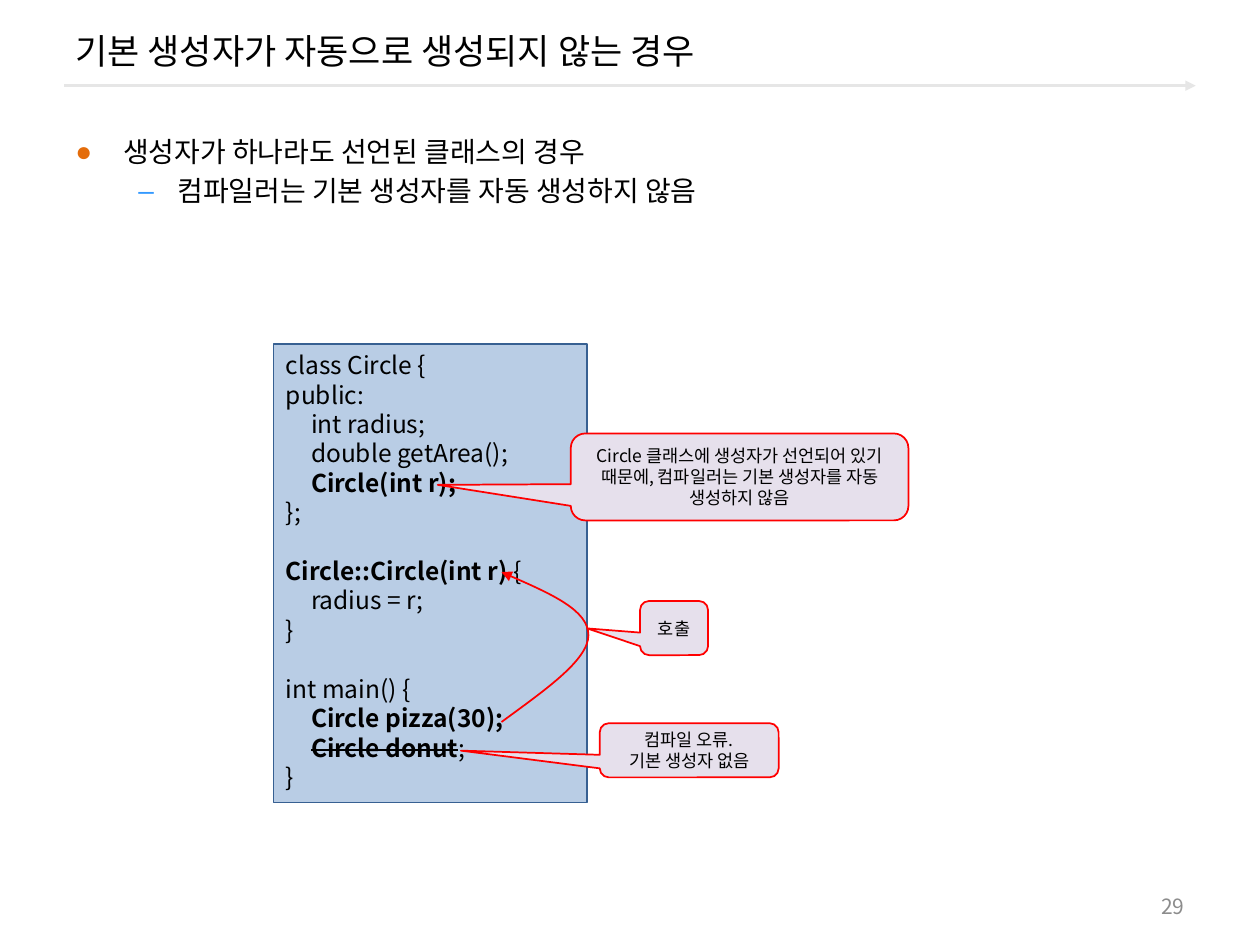
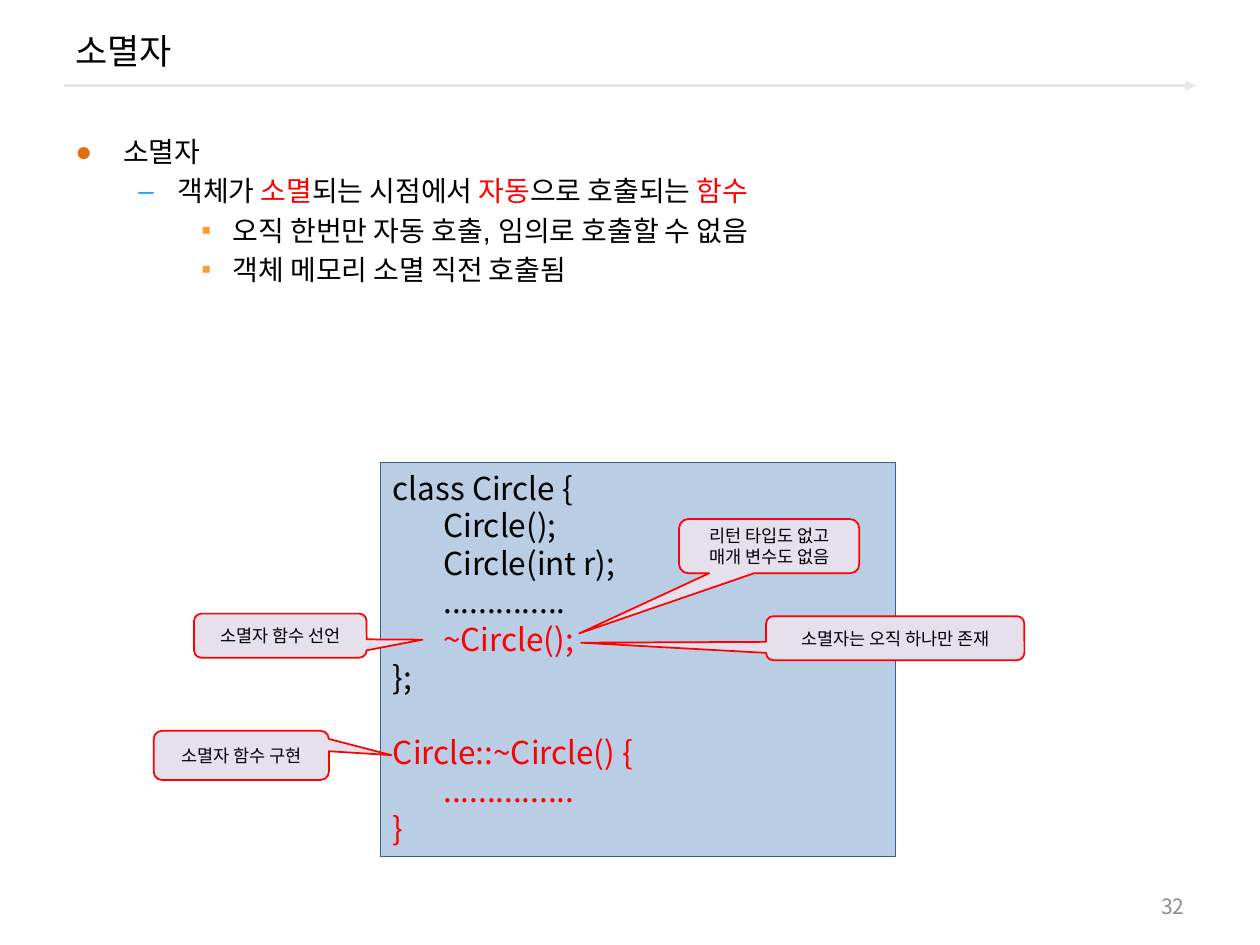
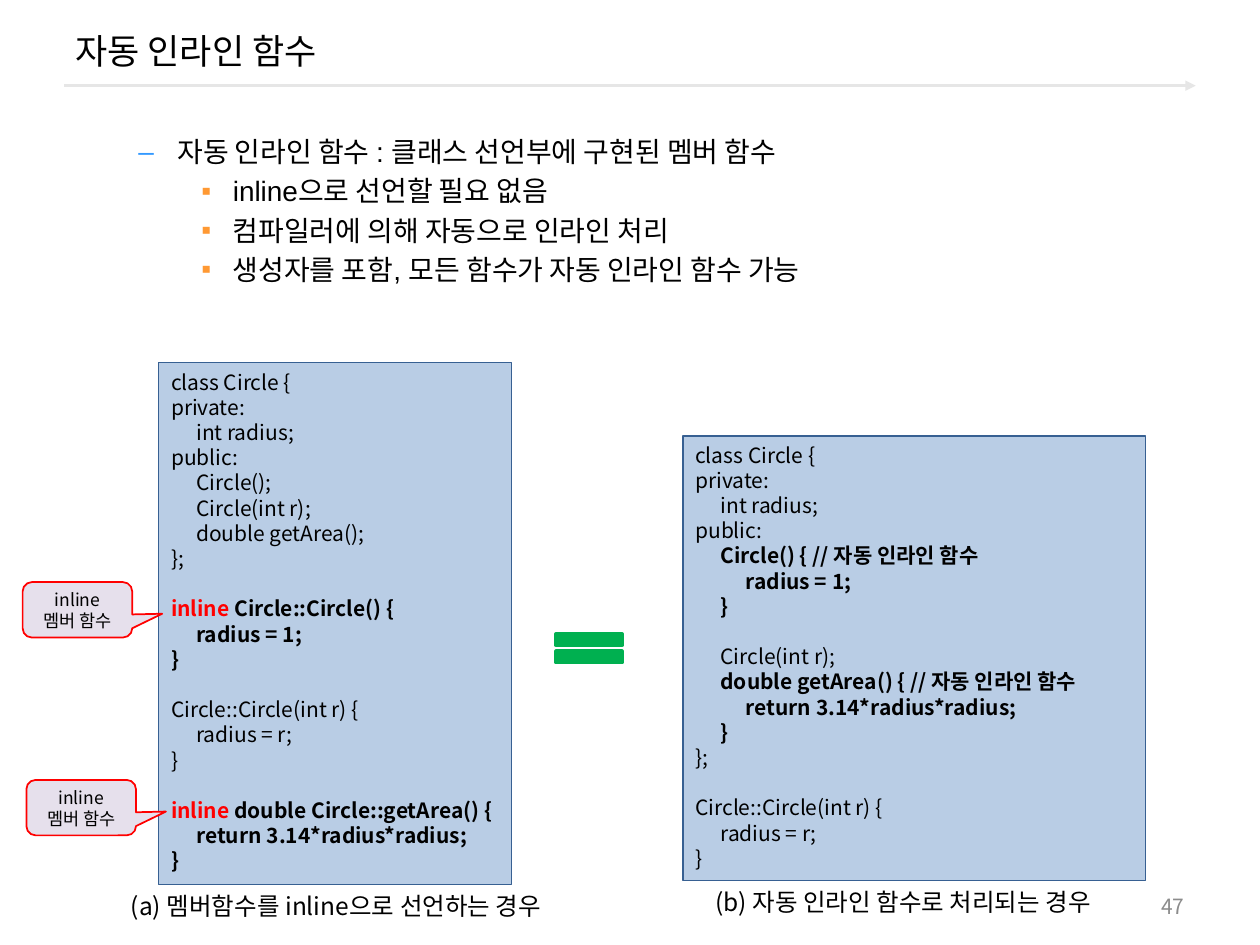
from dataclasses import dataclass

import lxml.etree
import pptx
import pptx.dml.color
import pptx.enum.shapes
import pptx.enum.text
import pptx.oxml.ns
import pptx.util

Inches = pptx.util.Inches
Pt = pptx.util.Pt
qn = pptx.oxml.ns.qn
SHAPE = pptx.enum.shapes.MSO_SHAPE
ALIGN = pptx.enum.text.PP_ALIGN
ANCHOR = pptx.enum.text.MSO_ANCHOR


@dataclass(frozen=True)
class Theme:
    sans: str = "Noto Sans CJK KR"
    latin: str = "Arial"
    text: str = "000000"
    accent: str = "FF0000"
    muted: str = "8C8C8C"
    rule: str = "E6E6E6"
    code_fill: str = "B9CDE5"
    code_line: str = "376092"
    note_fill: str = "E6E0EC"
    equal: str = "00B050"
    title_size: int = 20
    body_size: int = 16
    caption_size: int = 14
    number_size: int = 12
    note_size: int = 10
    leading: float = 1.2
    tab: float = 0.2


T = Theme()
BULLETS = [
    (0.38, -0.38, "●", "E46C0A"),
    (0.81, -0.31, "–", "3399FF"),
    (1.25, -0.25, "▪", "FF9933"),
]


def rgb(value):
    return pptx.dml.color.RGBColor.from_string(value)


def place(*lengths):
    return [Inches(v) for v in lengths]


def sub(parent, tag, **attrs):
    return lxml.etree.SubElement(parent, qn(tag), {k: str(v) for k, v in attrs.items()})


def format_run(r, flags, size, font, color):
    r.font.size = Pt(size)
    r.font.bold = "b" in flags
    r.font.color.rgb = rgb(T.accent if "r" in flags else color)
    r.font.name = font
    rPr = r._r.get_or_add_rPr()
    sub(rPr, "a:ea", typeface=T.sans)
    if "s" in flags:
        rPr.set("strike", "sngStrike")


def write(tf, lines, size, font=T.sans, color=T.text, align=ALIGN.LEFT, anchor=ANCHOR.TOP):
    tf.word_wrap = True
    tf.vertical_anchor = anchor
    styled = [[(line, "")] if isinstance(line, str) else line for line in lines]
    tf.text = "\n".join(runs[0][0] for runs in styled)
    for p, runs in zip(tf.paragraphs, styled):
        p.alignment = align
        p.line_spacing = Pt(size * T.leading)
        for text, _ in runs[1:]:
            p.add_run().text = text
        for r, (_, flags) in zip(p.runs, runs):
            format_run(r, flags, size, font, color)


def add_text(s, box, lines, size, **style):
    sp = s.shapes.add_textbox(*place(*box))
    write(sp.text_frame, lines, size, **style)
    return sp


def add_box(s, kind, box, fill, line, width):
    sp = s.shapes.add_shape(kind, *place(*box))
    sp.shadow.inherit = False
    sp.fill.solid()
    sp.fill.fore_color.rgb = rgb(fill)
    sp.line.color.rgb = rgb(line)
    sp.line.width = Pt(width)
    return sp


def add_arrowhead(sp):
    sub(sp._element.spPr.find(qn("a:ln")), "a:tailEnd", type="triangle")


def add_frame(prs, title, number):
    s = prs.slides.add_slide(prs.slide_layouts[6])
    cx = s.shapes.add_connector(
        pptx.enum.shapes.MSO_CONNECTOR.STRAIGHT, *place(0.51, 0.68, 9.49, 0.68))
    cx.line.color.rgb = rgb(T.rule)
    cx.line.width = Pt(1.5)
    add_arrowhead(cx)
    sub(cx._element.spPr, "a:effectLst")
    add_text(s, (0.5, 0.08, 9, 0.64), [title], T.title_size, anchor=ANCHOR.MIDDLE)
    add_text(s, (7.17, 7.03, 2.33, 0.32), [str(number)], T.number_size,
             color=T.muted, align=ALIGN.RIGHT, anchor=ANCHOR.MIDDLE)
    return s


def add_bullets(s, items):
    sp = add_text(s, (0.5, 1.02, 9, 6.02), [line for _, line in items],
                  T.body_size, font=T.latin)
    for i, (p, (level, _)) in enumerate(zip(sp.text_frame.paragraphs, items)):
        margin, indent, char, color = BULLETS[level]
        p.level = level
        pPr = p._p.get_or_add_pPr()
        pPr.set("marL", str(Inches(margin)))
        pPr.set("indent", str(Inches(indent)))
        sub(sub(pPr, "a:buClr"), "a:srgbClr", val=color)
        sub(pPr, "a:buFont", typeface=T.latin)
        sub(pPr, "a:buChar", char=char)
        if i:
            p.space_before = Pt(T.body_size * 0.2)


def add_code(s, box, lines, size):
    sp = add_box(s, SHAPE.RECTANGLE, box, T.code_fill, T.code_line, 0.75)
    write(sp.text_frame, lines, size)
    for p in sp.text_frame.paragraphs:
        tabs = sub(p._p.get_or_add_pPr(), "a:tabLst")
        for n in (1, 2):
            sub(tabs, "a:tab", pos=Inches(T.tab * n), algn="l")


def add_callout(s, box, tip, lines):
    sp = add_box(s, SHAPE.ROUNDED_RECTANGULAR_CALLOUT, box, T.note_fill, T.accent, 1)
    sp.adjustments[0], sp.adjustments[1] = tip
    write(sp.text_frame, lines, T.note_size, align=ALIGN.CENTER, anchor=ANCHOR.MIDDLE)


def add_curved_arrow(s, start, points):
    fb = s.shapes.build_freeform(*place(*start))
    fb.add_line_segments([place(*point) for point in points], close=False)
    sp = fb.convert_to_shape()
    sp.shadow.inherit = False
    sp.fill.background()
    sp.line.color.rgb = rgb(T.accent)
    sp.line.width = Pt(1)
    add_arrowhead(sp)
    segments = list(sp._element.iter(qn("a:lnTo")))
    outline = segments[0].getparent()
    for i in range(0, len(segments), 3):
        curve = sub(outline, "a:cubicBezTo")
        for segment in segments[i:i + 3]:
            curve.append(segment[0])
            outline.remove(segment)


def build_no_default_constructor(prs):
    s = add_frame(prs, "기본 생성자가 자동으로 생성되지 않는 경우", 29)
    add_bullets(s, [
        (0, "생성자가 하나라도 선언된 클래스의 경우"),
        (1, "컴파일러는 기본 생성자를 자동 생성하지 않음"),
    ])
    add_code(s, (2.17, 2.73, 2.49, 3.64), [
        "class Circle {",
        "public:",
        "\tint radius;",
        "\tdouble getArea();",
        [("\tCircle(int r);", "b")],
        "};",
        "",
        [("Circle::Circle(int r) ", "b"), ("{", "")],
        "\tradius = r;",
        "}",
        "",
        "int main() {",
        [("\tCircle pizza(30);", "b")],
        [("\t", ""), ("Circle donut", "bs"), (";", "")],
        "}",
    ], 14)
    add_curved_arrow(s, (3.98, 5.73), [
        (4.32, 5.48), (4.67, 5.24), (4.67, 5.04),
        (4.67, 4.84), (4.32, 4.69), (3.98, 4.54),
    ])
    add_callout(s, (4.76, 5.74, 1.42, 0.43), (-1.276, 0.007),
                ["컴파일 오류.", "기본 생성자 없음"])
    add_callout(s, (4.53, 3.44, 2.68, 0.69), (-0.894, 0.091),
                ["Circle 클래스에 생성자가 선언되어 있기 때문에, "
                 "컴파일러는 기본 생성자를 자동 생성하지 않음"])
    add_callout(s, (5.08, 4.77, 0.54, 0.43), (-1.276, 0.007), ["호출"])


def build_destructor(prs):
    s = add_frame(prs, "소멸자", 32)
    add_bullets(s, [
        (0, "소멸자"),
        (1, [("객체가 ", ""), ("소멸", "r"), ("되는 시점에서 ", ""), ("자동", "r"),
             ("으로 호출되는 ", ""), ("함수", "r")]),
        (2, "오직 한번만 자동 호출, 임의로 호출할 수 없음"),
        (2, "객체 메모리 소멸 직전 호출됨"),
    ])
    add_code(s, (3.02, 3.67, 4.09, 3.13), [
        "class Circle {",
        "\t\tCircle();",
        "\t\tCircle(int r);",
        "\t\t..............",
        [("\t\t~Circle();", "r")],
        "};",
        "",
        [("Circle::~Circle() {", "r")],
        [("\t\t...............", "r")],
        [("}", "r")],
    ], 18)
    for box, tip, text in [
        ((5.39, 4.12, 1.43, 0.43), (-1.054, 1.61), "리턴 타입도 없고 매개 변수도 없음"),
        ((1.54, 4.87, 1.37, 0.35), (0.823, 0.091), "소멸자 함수 선언"),
        ((6.08, 4.89, 2.05, 0.35), (-1.216, 0.102), "소멸자는 오직 하나만 존재"),
        ((1.22, 5.8, 1.39, 0.39), (0.856, -0.005), "소멸자 함수 구현"),
    ]:
        add_callout(s, box, tip, [text])


def build_auto_inline(prs):
    s = add_frame(prs, "자동 인라인 함수", 47)
    add_bullets(s, [
        (1, "자동 인라인 함수 : 클래스 선언부에 구현된 멤버 함수"),
        (2, "inline으로 선언할 필요 없음"),
        (2, "컴파일러에 의해 자동으로 인라인 처리"),
        (2, "생성자를 포함, 모든 함수가 자동 인라인 함수 가능"),
    ])
    class_head = ["class Circle {", "private:", "\tint radius;", "public:"]
    radius_constructor = ["Circle::Circle(int r) {", "\tradius = r;", "}"]
    add_code(s, (5.42, 3.46, 3.67, 3.53), [
        *class_head,
        [("\tCircle() { // 자동 인라인 함수", "b")],
        [("\t\tradius = 1;", "b")],
        [("\t}", "b")],
        "",
        "\tCircle(int r);",
        [("\tdouble getArea() { // 자동 인라인 함수", "b")],
        [("\t\treturn 3.14*radius*radius;", "b")],
        [("\t}", "b")],
        "};",
        "",
        *radius_constructor,
    ], 12)
    add_code(s, (1.26, 2.88, 2.8, 4.14), [
        *class_head,
        "\tCircle();",
        "\tCircle(int r);",
        "\tdouble getArea();",
        "};",
        "",
        [("inline", "br"), (" Circle::Circle() {", "b")],
        [("\tradius = 1;", "b")],
        [("}", "b")],
        "",
        *radius_constructor,
        "",
        [("inline", "br"), (" double Circle::getArea() {", "b")],
        [("\treturn 3.14*radius*radius;", "b")],
        [("}", "b")],
    ], 12)
    add_text(s, (0.94, 7.02, 3.73, 0.34),
             ["(a) 멤버함수를 inline으로 선언하는 경우"], T.caption_size)
    add_text(s, (5.58, 6.99, 3.53, 0.34),
             ["(b) 자동 인라인 함수로 처리되는 경우"], T.caption_size)
    add_box(s, SHAPE.MATH_EQUAL, (4.32, 4.95, 0.71, 0.39), T.equal, T.equal, 2)
    for x, y in [(0.21, 6.19), (0.18, 4.62)]:
        add_callout(s, (x, y, 0.87, 0.44), (0.773, 0.071), ["inline", "멤버 함수"])


def main():
    prs = pptx.Presentation()
    prs.slide_width = Inches(10)
    prs.slide_height = Inches(7.5)
    build_no_default_constructor(prs)
    build_destructor(prs)
    build_auto_inline(prs)
    prs.save("out.pptx")


if __name__ == "__main__":
    main()
